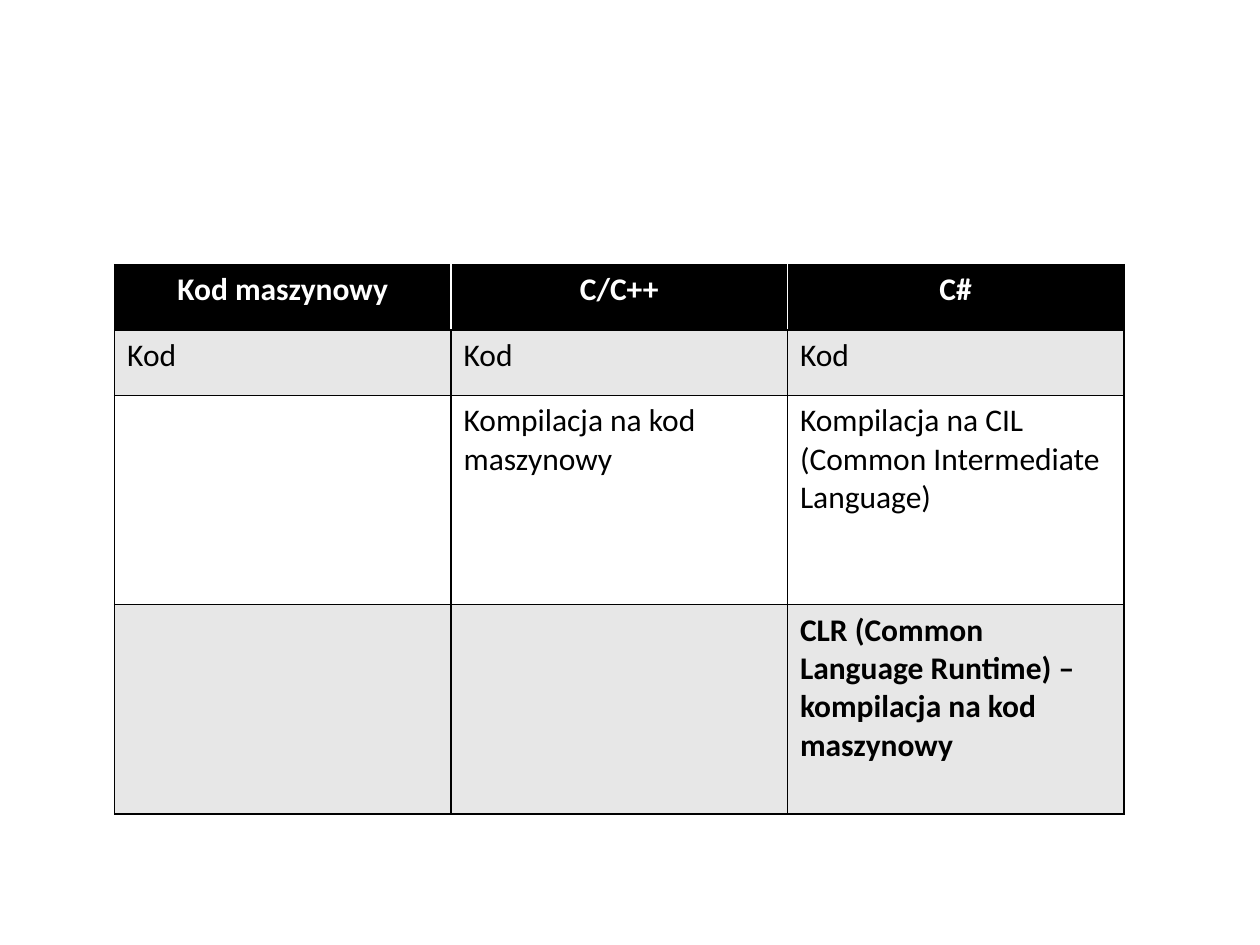
from lxml import etree
from pptx import Presentation
from pptx import util as u
from pptx.dml.color import RGBColor
from pptx.enum import text
from pptx.oxml import ns

PX = 9144  # 100 px to the inch
BLACK, WHITE, GREY = "000000", "FFFFFF", "E7E7E7"

HEADS = ["Kod maszynowy", "C/C++", "C#"]
ROWS = [
    ["Kod", "Kod", "Kod"],
    ["", "Kompilacja na kod maszynowy",
     "Kompilacja na CIL (Common Intermediate Language)"],
    ["", "", "CLR (Common Language Runtime) – kompilacja na kod maszynowy"],
]
HEIGHTS = [52, 52, 166, 166]


def px(n):
    return u.Emu(n * PX)


def color(code):
    return RGBColor.from_string(code)


def border(cell, side, code):
    props = cell._tc.get_or_add_tcPr()
    line = etree.SubElement(props, ns.qn("a:ln" + side), w=str(u.Pt(1)))
    fill = etree.SubElement(line, ns.qn("a:solidFill"))
    etree.SubElement(fill, ns.qn("a:srgbClr"), val=code)


def style(cell, words, fill, ink, bold, edges):
    # Borders come before the fill in the cell properties
    for side, code in edges.items():
        border(cell, side, code)
    cell.fill.solid()
    cell.fill.fore_color.rgb = color(fill)
    cell.text_frame.text = words
    for run in cell.text_frame.paragraphs[0].runs:
        run.font.name = "Calibri"
        run.font.size = u.Pt(18)
        run.font.bold = bold
        run.font.color.rgb = color(ink)


def stages(slide, left, top, width):
    """Table of the compilation stages, one column per language."""
    count = len(HEADS)
    frame = slide.shapes.add_table(len(HEIGHTS), count, px(left), px(top),
                                   px(width), px(sum(HEIGHTS)))
    table = frame.table
    for col in table.columns:
        col.width = px(width // count)
    for row, high in zip(table.rows, HEIGHTS):
        row.height = px(high)

    # Header row, with white lines between its cells
    for c, words in enumerate(HEADS):
        edges = {"L": WHITE if c else BLACK,
                 "R": WHITE if c < count - 1 else BLACK,
                 "T": BLACK, "B": BLACK}
        cell = table.cell(0, c)
        style(cell, words, BLACK, WHITE, True, edges)
        cell.text_frame.paragraphs[0].alignment = text.PP_ALIGN.CENTER

    # Banded body rows; the runtime step stands out in bold
    for r, row in enumerate(ROWS, 1):
        for c, words in enumerate(row):
            style(table.cell(r, c), words, GREY if r % 2 else WHITE, BLACK,
                  words.startswith("CLR"), dict.fromkeys("LRTB", BLACK))


def main():
    deck = Presentation()
    deck.slide_width, deck.slide_height = px(1000), px(750)
    slide = deck.slides.add_slide(deck.slide_layouts[6])
    stages(slide, 91, 210, 801)
    deck.save("out.pptx")


if __name__ == "__main__":
    main()
